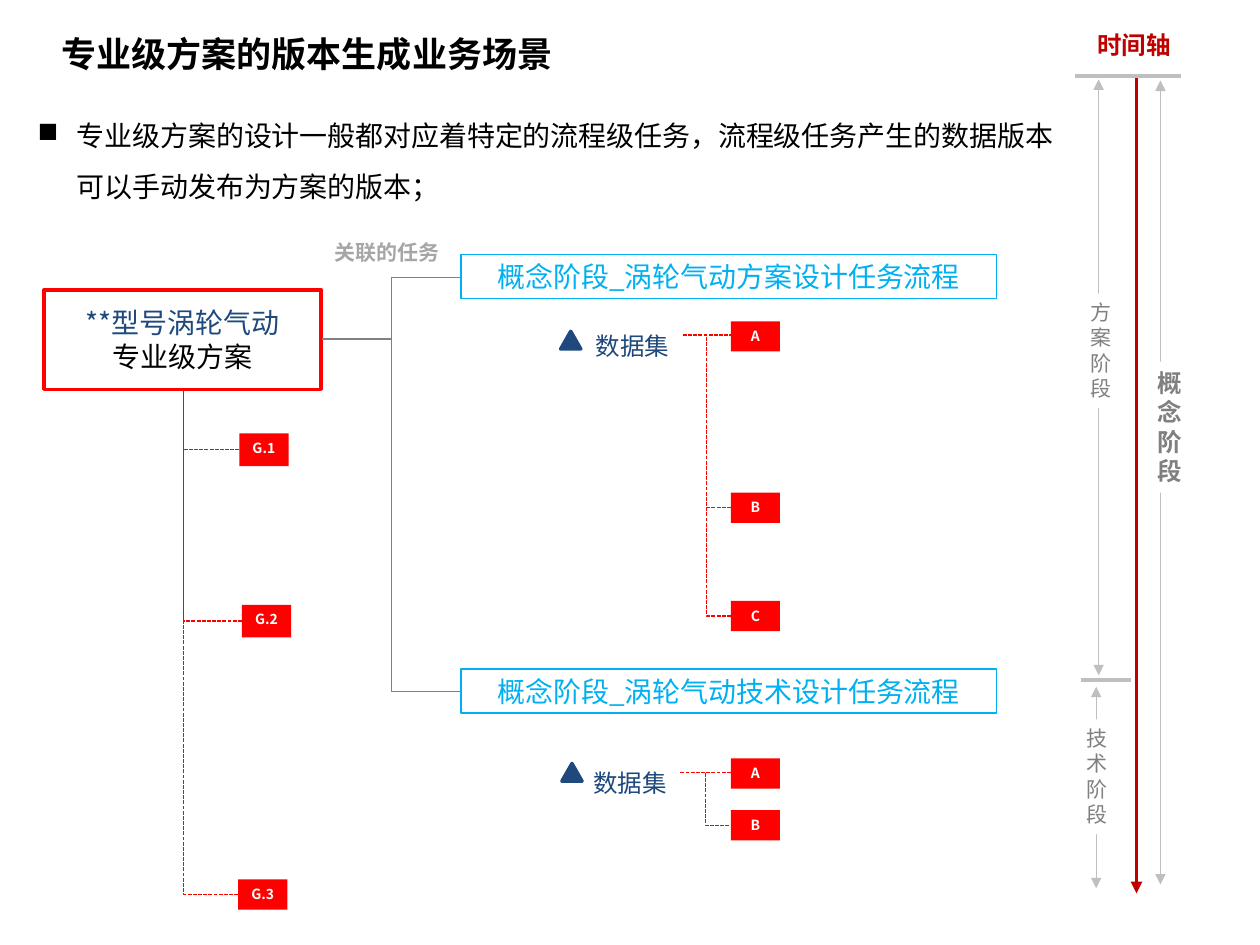
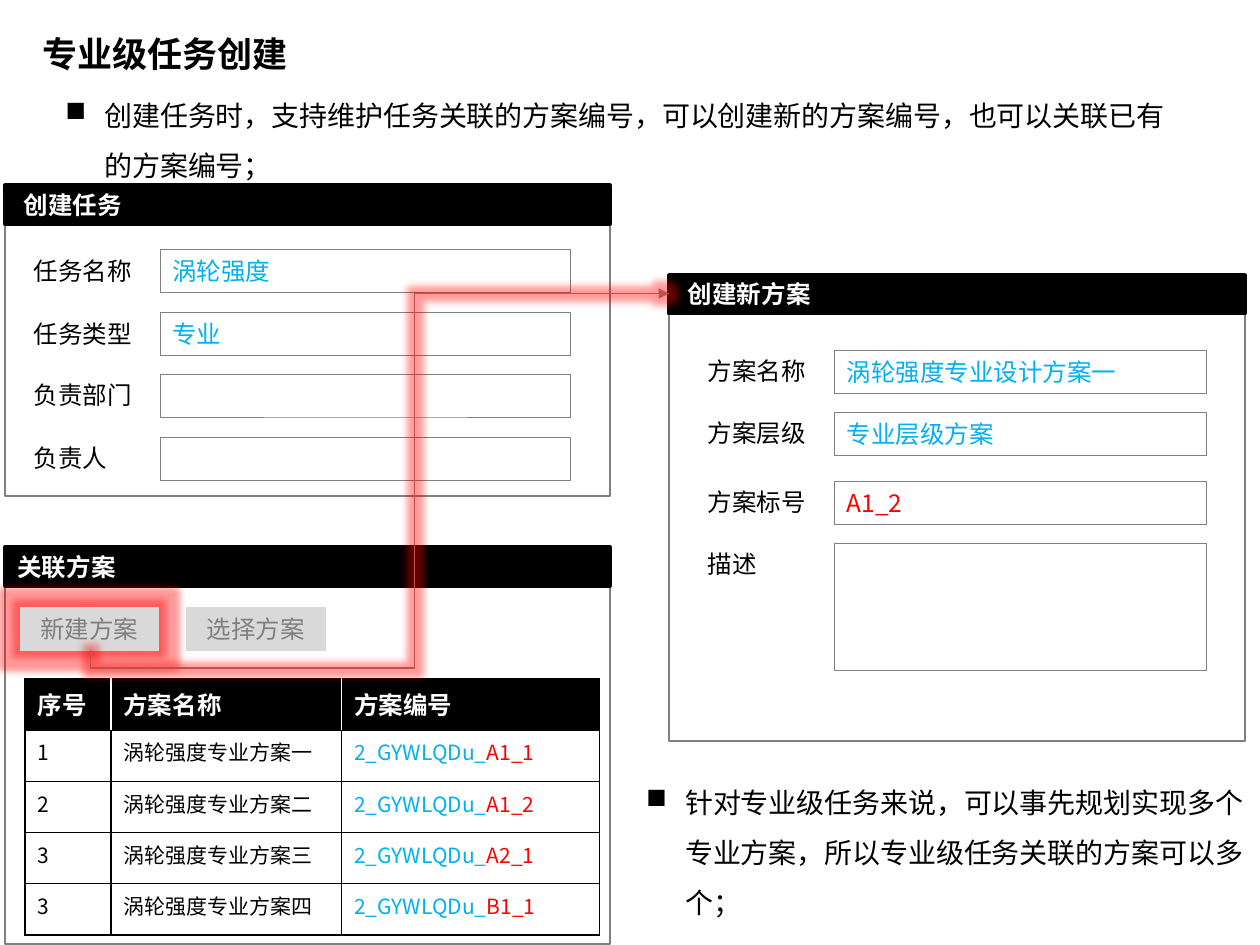
from lxml import etree
from pptx import Presentation
from pptx.dml.color import RGBColor
from pptx.enum.dml import MSO_LINE
from pptx.enum.shapes import MSO_CONNECTOR, MSO_SHAPE
from pptx.enum.text import MSO_ANCHOR, PP_ALIGN
from pptx.oxml.ns import qn
from pptx.util import Inches, Pt

RECT, TRIANGLE = MSO_SHAPE.RECTANGLE, MSO_SHAPE.ISOSCELES_TRIANGLE
CENTER, LEFT = PP_ALIGN.CENTER, PP_ALIGN.LEFT
TOP, MIDDLE = MSO_ANCHOR.TOP, MSO_ANCHOR.MIDDLE
SYS_DASH = MSO_LINE.SQUARE_DOT
FONT = "Noto Sans CJK SC"
BLACK, WHITE, RED, DARK_RED = "000000", "FFFFFF", "FF0000", "C00000"
NAVY, CYAN, ARROW_RED = "1F497D", "00B0F0", "C0504D"
GRAY, MID_GRAY, SILVER, PALE = "808080", "A6A6A6", "BFBFBF", "D9D9D9"
color_of = RGBColor.from_string


def write(holder, text="", size=14, color=BLACK, bold=False, align=LEFT, anchor=TOP,
          spacing=None, bullet=None, wrap=True, left=0.1, fill=None, line=None, width=0.25):
    """Fill, outline and text of a shape, text box or table cell.

    Text is a string, or a list of paragraphs made of (text, colour) pairs.
    """
    if fill:
        holder.fill.solid()
        holder.fill.fore_color.rgb = color_of(fill)
    if hasattr(holder, "shadow"):
        holder.shadow.inherit = False
        if line:
            holder.line.color.rgb = color_of(line)
            holder.line.width = Pt(width)
        else:
            holder.line.fill.background()
        holder.text_frame.word_wrap = wrap
        holder.text_frame.vertical_anchor = anchor
        holder.text_frame.margin_left = Inches(left)
    if not text:
        return
    paragraphs = [[(text, color)]] if isinstance(text, str) else text
    for index, spans in enumerate(paragraphs):
        frame = holder.text_frame
        para = frame.add_paragraph() if index else frame.paragraphs[0]
        para.alignment = align
        if spacing:
            para.line_spacing = spacing
        if bullet:
            properties = para._p.get_or_add_pPr()
            properties.set("marL", str(Inches(0.31)))
            properties.set("indent", str(-Inches(0.31)))
            etree.SubElement(properties, qn("a:buChar"), char=bullet)
        for words, span_color in spans:
            span = para.add_run()
            span.text = words
            span.font.name = FONT
            span.font.size = Pt(size)
            span.font.bold = bold
            span.font.color.rgb = color_of(span_color)
            etree.SubElement(span.font._element, qn("a:ea"), typeface=FONT)


def connect(slide, start, end, color, width=0.75, preset="line", adjust=(), dash=None,
            head=False, tail=False):
    kind = MSO_CONNECTOR.STRAIGHT if preset == "line" else MSO_CONNECTOR.ELBOW
    connector = slide.shapes.add_connector(kind, *map(Inches, (*start, *end)))
    connector.line.color.rgb = color_of(color)
    connector.line.width = Pt(width)
    if dash:
        connector.line.dash_style = dash
    properties = connector.element.spPr
    geometry = properties.find(qn("a:prstGeom"))
    geometry.set("prst", preset)
    for number, share in enumerate(adjust, 1):
        etree.SubElement(geometry.find(qn("a:avLst")), qn("a:gd"),
                         name=f"adj{number}", fmla=f"val {round(share * 100000)}")
    outline = properties.find(qn("a:ln"))
    for tag, wanted in (("a:headEnd", head), ("a:tailEnd", tail)):
        if wanted:
            etree.SubElement(outline, qn(tag), type="triangle")
    etree.SubElement(properties, qn("a:effectLst"))
    return connector


deck = Presentation()
deck.slide_width, deck.slide_height = Inches(10), Inches(7.5)
version_slide, task_slide = [deck.slides.add_slide(deck.slide_layouts[6]) for _ in range(2)]

# Titles and bulleted statements of both slides
for slide, left, title in (
    (version_slide, 0.39, "专业级方案的版本生成业务场景"),
    (task_slide, 0.24, "专业级任务创建"),
):
    box = slide.shapes.add_textbox(*map(Inches, (left, 0.21, 8.63, 0.44)))
    write(box, title, size=20, bold=True)

# Slide 1: main scheme and its task flows
shapes = version_slide.shapes
box = shapes.add_textbox(*map(Inches, (0.2, 0.76, 8.31, 1.31)))
write(box, "专业级方案的设计一般都对应着特定的流程级任务，流程级任务产生的数据版本可以手动发布为方案的版本；",
      size=16, spacing=1.5, bullet="■")
scheme = shapes.add_shape(RECT, *map(Inches, (0.35, 2.3, 2.2, 0.79)))
write(scheme, [[("**型号涡轮气动", NAVY)], [("专业级方案", BLACK)]], size=16,
      align=CENTER, anchor=MIDDLE, fill=WHITE, line=RED, width=2)

for top, flow in ((2.02, "概念阶段_涡轮气动方案设计任务流程"),
                  (5.31, "概念阶段_涡轮气动技术设计任务流程")):
    connect(version_slide, (2.56, 2.69), (3.66, top + 0.18), GRAY, preset="bentConnector3")
    box = shapes.add_shape(RECT, *map(Inches, (3.66, top, 4.25, 0.35)))
    write(box, flow, size=16, color=CYAN, align=CENTER, anchor=MIDDLE,
          fill=WHITE, line=CYAN, width=0.75)

# Data sets with their versions
for marker, label, origin, versions in (
    ((4.45, 2.63), (4.63, 2.46), (5.42, 2.66), (("A", 2.55), ("B", 3.91), ("C", 4.77))),
    ((4.46, 6.06), (4.61, 5.93), (5.4, 6.13), (("A", 6.02), ("B", 6.43))),
):
    triangle = shapes.add_shape(TRIANGLE, *map(Inches, (*marker, 0.16, 0.14)))
    write(triangle, fill=NAVY, line=NAVY, width=2)
    box = shapes.add_textbox(*map(Inches, (*label, 0.79, 0.41)))
    write(box, "数据集", color=NAVY, spacing=1.5, wrap=False)
    for index, (version, top) in enumerate(versions):
        end = (5.8, top + 0.12 if index else origin[1])
        connect(version_slide, origin, end, RED, dash=SYS_DASH,
                preset="bentConnector3" if index else "line")
        box = shapes.add_shape(RECT, *map(Inches, (5.8, top, 0.39, 0.24)))
        write(box, version, size=8, color=WHITE, bold=True, align=CENTER, fill=RED)

# Versions of the main scheme
for version, left, top, height in (("G.1", 1.9, 3.44, 0.26), ("G.2", 1.92, 4.8, 0.26),
                                   ("G.3", 1.89, 6.98, 0.24)):
    connect(version_slide, (left, top + height / 2), (1.46, 3.09), RED, dash=SYS_DASH,
            preset="bentConnector2")
    box = shapes.add_shape(RECT, *map(Inches, (left, top, 0.39, height)))
    write(box, version, size=8, color=WHITE, bold=True, align=CENTER, fill=RED)

for label, at, size, color in (
    ("关联的任务", (2.56, 1.75, 1.04, 0.37), 12, MID_GRAY),
    ("时间轴", (8.61, 0.07, 0.79, 0.41), 14, DARK_RED),
):
    box = shapes.add_textbox(*map(Inches, at))
    write(box, label, size=size, color=color, bold=True, spacing=1.5, wrap=False)

# Time axis with its phases
connect(version_slide, (9.02, 0.6), (9.02, 7.09), DARK_RED, 2.25, tail=True)
for start, end, y in ((8.53, 9.37, 0.6), (8.58, 8.98, 5.4)):
    connect(version_slide, (start, y), (end, y), SILVER, 2.25)
for phase, x, start, end, at, size, bold in (
    ("概念阶段", 9.21, 0.64, 7.02, (9.05, 2.87, 0.47, 1.04), 14, True),
    ("方案阶段", 8.72, 0.63, 5.36, (8.52, 2.33, 0.43, 0.91), 12, False),
    ("技术阶段", 8.7, 5.45, 7.05, (8.5, 5.71, 0.41, 0.91), 12, False),
):
    connect(version_slide, (x, start), (x, end), SILVER, head=True, tail=True)
    box = shapes.add_shape(RECT, *map(Inches, at))
    write(box, phase, size=size, color=GRAY, bold=bold, align=CENTER, fill=WHITE)

# Slide 2: panels with a black header
shapes = task_slide.shapes
for heading, left, top, width, body_height, inset in (
    ("创建新方案", 5.31, 2.18, 4.57, 3.39, 0.15),
    ("创建任务", 0.04, 1.47, 4.8, 2.16, 0.15),
    ("关联方案", 0.04, 4.34, 4.8, 2.84, 0.1),
):
    panel = shapes.add_shape(RECT, *map(Inches, (left, top + 0.31, width, body_height)))
    write(panel, fill=WHITE, line=GRAY, width=1)
    header = shapes.add_shape(RECT, *map(Inches, (left, top, width, 0.31)))
    write(header, heading, color=WHITE, bold=True, anchor=MIDDLE, left=inset,
          fill=BLACK, line=BLACK, width=2)

# Form fields: label, value, value colour, top, height
for left, width, fields in (
    (0.17, 3.26, (("任务名称", "涡轮强度", CYAN, 1.98, 0.34),
                  ("任务类型", "专业", CYAN, 2.48, 0.34),
                  ("负责部门", "", CYAN, 2.97, 0.34),
                  ("负责人", "", CYAN, 3.47, 0.34))),
    (5.52, 2.95, (("方案名称", "涡轮强度专业设计方案一", CYAN, 2.78, 0.34),
                  ("方案层级", "专业层级方案", CYAN, 3.27, 0.34),
                  ("方案标号", "A1_2", RED, 3.82, 0.34),
                  ("描述", "", CYAN, 4.31, 1.01))),
):
    for label, value, color, top, height in fields:
        box = shapes.add_textbox(*map(Inches, (left, top, 1.1, 0.34)))
        write(box, label)
        field = shapes.add_shape(RECT, *map(Inches, (left + 1.1, top, width, height)))
        write(field, value, color=color, anchor=MIDDLE, fill=WHITE, line=GRAY)

for at, statement in (
    ((0.42, 0.6, 9.13, 0.91),
     "创建任务时，支持维护任务关联的方案编号，可以创建新的方案编号，也可以关联已有的方案编号；"),
    ((5.03, 6.05, 5, 1.31),
     "针对专业级任务来说，可以事先规划实现多个专业方案，所以专业级任务关联的方案可以多个；"),
):
    box = shapes.add_textbox(*map(Inches, at))
    write(box, statement, size=16, spacing=1.5, bullet="■")

# Table of linked schemes
rows = [("序号", "方案名称", "方案编号")] + [
    (number, f"涡轮强度专业方案{ordinal}", [[("2_GYWLQDu_", CYAN), (code, RED)]])
    for number, ordinal, code in (("1", "一", "A1_1"), ("2", "二", "A1_2"),
                                  ("3", "三", "A2_1"), ("3", "四", "B1_1"))
]
table = shapes.add_table(5, 3, *map(Inches, (0.2, 5.39, 4.56, 2.03))).table
table.first_row = table.horz_banding = False
for column, width in zip(table.columns, (0.68, 1.83, 2.05)):
    column.width = Inches(width)
for r, row in enumerate(rows):
    is_header = r == 0
    for c, text in enumerate(row):
        cell = table.cell(r, c)
        properties = cell._tc.get_or_add_tcPr()
        for side, inner in (("L", c > 0), ("R", c < 2), ("T", False), ("B", False)):
            border = etree.SubElement(properties, qn(f"a:ln{side}"), w=str(Pt(1)))
            paint = etree.SubElement(border, qn("a:solidFill"))
            etree.SubElement(paint, qn("a:srgbClr"), val=WHITE if is_header and inner else BLACK)
        write(cell, text, size=14 if is_header else 12, color=WHITE if is_header else BLACK,
              bold=is_header, fill=BLACK if is_header else WHITE)

# Buttons, and the glowing way from the first one to the new scheme
buttons = []
for left, caption in ((0.16, "新建方案"), (1.48, "选择方案")):
    button = shapes.add_shape(RECT, *map(Inches, (left, 4.82, 1.1, 0.34)))
    write(button, caption, color=GRAY, align=CENTER, anchor=MIDDLE, fill=PALE, line=PALE)
    buttons.append(button)
arrow = connect(task_slide, (5.31, 2.33), (0.72, 5.16), ARROW_RED, preset="bentConnector4",
                adjust=(0.44, 1.05), head=True)
for glowing in (buttons[0], arrow):
    effects = glowing.element.spPr.find(qn("a:effectLst"))
    glow = etree.SubElement(effects, qn("a:glow"), rad=str(Pt(8)))
    tint = etree.SubElement(glow, qn("a:srgbClr"), val=RED)
    etree.SubElement(tint, qn("a:alpha"), val="40000")

deck.save("out.pptx")
